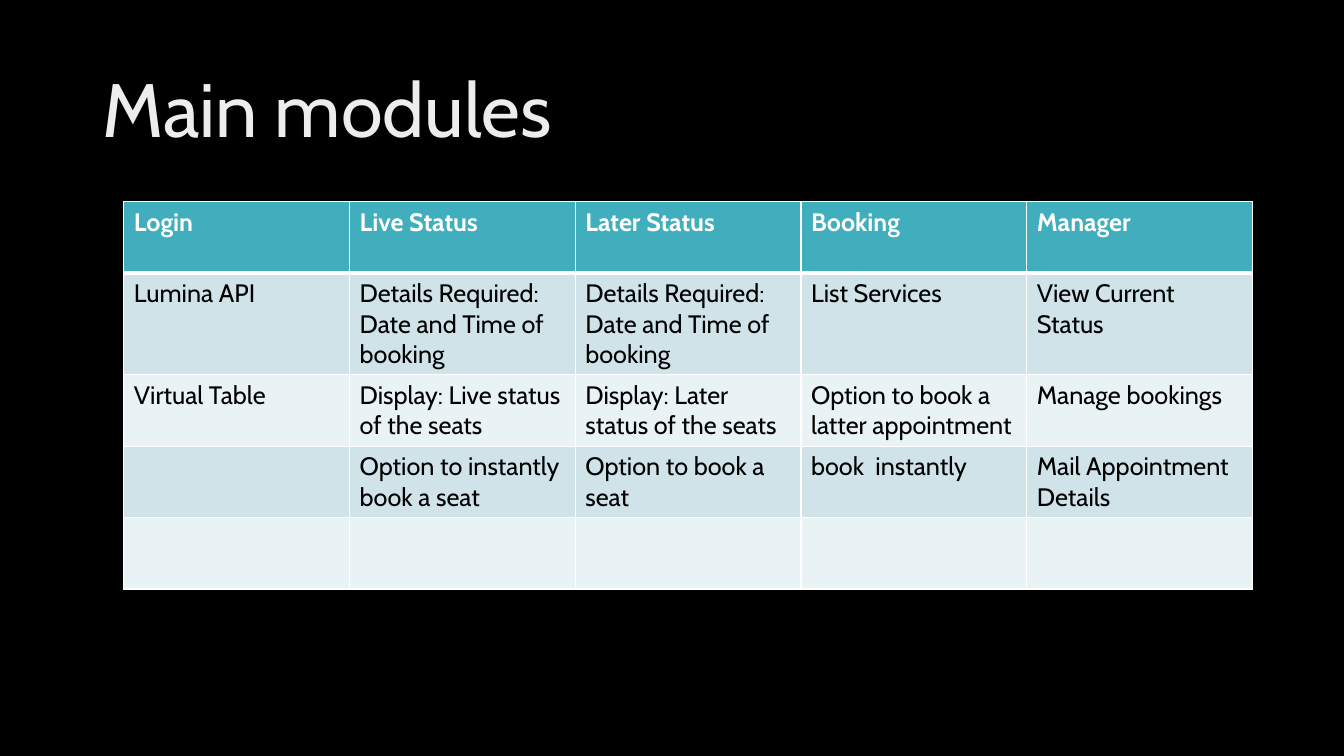
import dataclasses

import lxml.etree
import pptx
import pptx.dml.color
import pptx.enum.text
import pptx.oxml.ns
import pptx.util

EMU_PER_PX = 9525  # 96 px to the inch


@dataclasses.dataclass(frozen=True)
class Theme:
    font: str = "Cabin"
    title_size: int = 54
    table_size: int = 18
    background: str = "000000"
    title: str = "EDEDED"
    header_fill: str = "41AEBD"
    header_text: str = "FFFFFF"
    body_text: str = "000000"
    band_fills: tuple = ("CFE3E8", "E9F2F4")
    border: str = "FFFFFF"
    thin_border: int = 1
    thick_border: int = 3


THEME = Theme()

MODULES = [
    ["Login", "Live Status", "Later Status", "Booking", "Manager"],
    ["Lumina API", "Details Required: Date and Time of booking",
     "Details Required: Date and Time of booking", "List Services",
     "View Current Status"],
    ["Virtual Table", "Display: Live status of the seats",
     "Display: Later status of the seats",
     "Option to book a latter appointment", "Manage bookings"],
    ["", "Option to instantly book a seat", "Option to book a seat",
     "book  instantly", "Mail Appointment Details"],
    ["", "", "", "", ""],
]


def px(length):
    return pptx.util.Emu(length * EMU_PER_PX)


def rgb(code):
    return pptx.dml.color.RGBColor.from_string(code)


def style_paragraph(para, size, color, bold=False):
    para.font.name = THEME.font
    para.font.size = pptx.util.Pt(size)
    para.font.bold = bold
    para.font.color.rgb = rgb(color)


def add_title(page, text, left, top, width, height):
    box = page.shapes.add_textbox(px(left), px(top), px(width), px(height))
    frame = box.text_frame
    frame.word_wrap = True
    frame.vertical_anchor = pptx.enum.text.MSO_ANCHOR.MIDDLE
    para = frame.paragraphs[0]
    para.text = text
    para.line_spacing = 0.9
    style_paragraph(para, THEME.title_size, THEME.title)


def set_border(cell, side, points):
    qualified = pptx.oxml.ns.qn
    properties = cell._tc.get_or_add_tcPr()
    line = lxml.etree.SubElement(properties, qualified("a:ln" + side),
                                 w=str(pptx.util.Pt(points)))
    fill = lxml.etree.SubElement(line, qualified("a:solidFill"))
    lxml.etree.SubElement(fill, qualified("a:srgbClr"), val=THEME.border)


def style_cell(cell, row):
    header = row == 0
    # Borders come before the fill in the cell properties
    thick_side = {0: "B", 1: "T"}.get(row)
    for side in "LRTB":
        thick = side == thick_side
        set_border(cell, side, THEME.thick_border if thick else THEME.thin_border)
    cell.fill.solid()
    band = THEME.band_fills[(row - 1) % 2]
    cell.fill.fore_color.rgb = rgb(THEME.header_fill if header else band)
    color = THEME.header_text if header else THEME.body_text
    style_paragraph(cell.text_frame.paragraphs[0], THEME.table_size, color, header)


def add_module_table(page, rows, left, top, column_width, row_heights):
    columns = len(rows[0])
    table = page.shapes.add_table(
        len(rows), columns, px(left), px(top),
        px(column_width * columns), px(sum(row_heights))).table
    for column in table.columns:
        column.width = px(column_width)
    for row, (texts, height) in enumerate(zip(rows, row_heights)):
        table.rows[row].height = px(height)
        for column, text in enumerate(texts):
            cell = table.cell(row, column)
            cell.text = text
            style_cell(cell, row)


def main():
    deck = pptx.Presentation()
    deck.slide_width, deck.slide_height = px(1280), px(720)
    page = deck.slides.add_slide(deck.slide_layouts[6])

    # Background
    page.background.fill.solid()
    page.background.fill.fore_color.rgb = rgb(THEME.background)

    # Title and table of modules
    add_title(page, "Main modules", 88, 38, 1104, 139)
    add_module_table(page, MODULES, 118, 192, 215, [68, 97, 68, 68, 68])

    deck.save("out.pptx")


if __name__ == "__main__":
    main()
